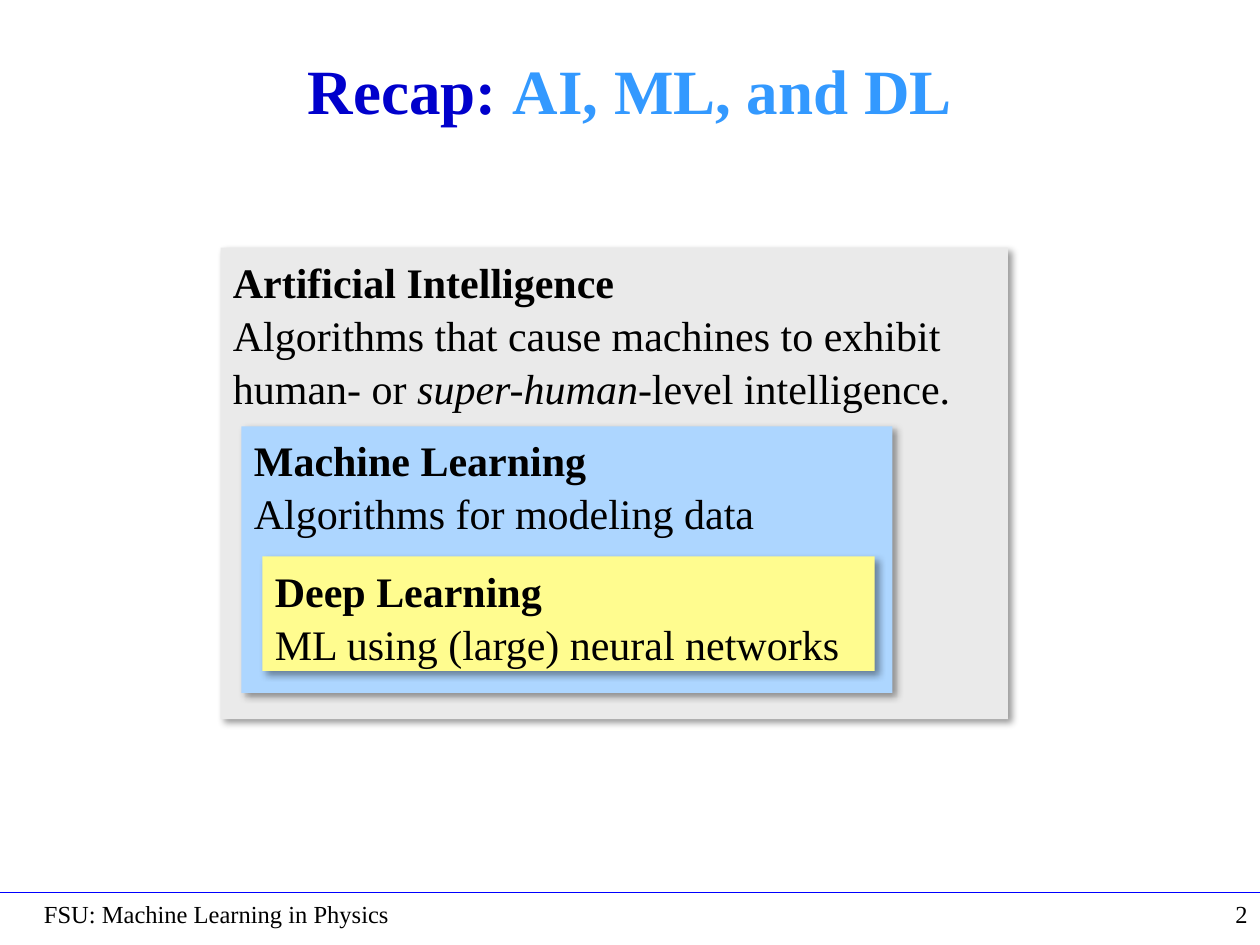
from dataclasses import dataclass

from lxml.etree import SubElement
from pptx import Presentation
from pptx.dml.color import RGBColor as Rgb
from pptx.enum.shapes import MSO_CONNECTOR as Conn, MSO_SHAPE as Form
from pptx.enum.text import MSO_ANCHOR as Anchor, PP_ALIGN as Align
from pptx.oxml.ns import qn
from pptx.util import Pt

SCALE = 7620


@dataclass(frozen=True)
class Theme:
    """Hold the colours, font and type sizes."""
    font: str = "Times New Roman"
    ink: str = "000000"
    navy: str = "0000CC"
    sky: str = "3399FF"
    rule: str = "0000FF"
    gray: str = "EAEAEA"
    blue: str = "ADD6FF"
    gold: str = "FFFC8F"
    head: int = 36
    body: int = 24
    foot: int = 14


THEME = Theme()


def emu(*nums):
    """Turn px lengths into EMU."""
    return [num * SCALE for num in nums]


def apply(item, **vals):
    """Set each named value on an item."""
    for name, val in vals.items():
        setattr(item, name, val)


def write(shape, paras, size, anchor=Anchor.TOP, align=Align.LEFT, gap=1.0):
    """Fill a shape with paragraphs of (text, format) runs."""
    frame = shape.text_frame
    apply(frame, word_wrap=True, vertical_anchor=anchor)
    for num, runs in enumerate(paras):
        para = frame.add_paragraph() if num else frame.paragraphs[0]
        apply(para, alignment=align, line_spacing=gap)
        for text, style in runs:
            run = para.add_run()
            run.text = text
            look = dict(style)
            run.font.color.rgb = Rgb.from_string(look.pop("color", THEME.ink))
            apply(run.font, name=THEME.font, size=Pt(size), **look)


def shade(shape):
    """Give a shape a soft shadow to the lower right."""
    shape.shadow.inherit = False
    effects = shape._element.spPr.find(qn("a:effectLst"))
    outer = SubElement(effects, qn("a:outerShdw"), blurRad=str(Pt(4)),
                       dist=str(Pt(3)), dir="2700000", algn="tl", rotWithShape="0")
    tint = SubElement(outer, qn("a:srgbClr"), val="000000")
    SubElement(tint, qn("a:alpha"), val="40000")


def title(slide, box):
    """Place the two-colour heading."""
    runs = [("Recap: ", {"bold": True, "color": THEME.navy}),
            ("AI, ML, and DL", {"bold": True, "color": THEME.sky})]
    write(slide.shapes.add_textbox(*emu(*box)), [runs], THEME.head,
          Anchor.MIDDLE, Align.CENTER)


def panel(slide, box, fill, name, runs):
    """Place one shaded panel with a bold name and a description."""
    shape = slide.shapes.add_shape(Form.RECTANGLE, *emu(*box))
    shape.fill.solid()
    shape.fill.fore_color.rgb = Rgb.from_string(fill)
    shape.line.fill.background()
    shade(shape)
    write(shape, [[(name, {"bold": True})], runs], THEME.body, gap=1.05)


def nest(slide, box):
    """Place the three fields, each inside the one before."""
    left, top, wide, high = box
    plain = {"bold": False}
    fields = [
        (0, wide, high, THEME.gray, "Artificial Intelligence",
         [("Algorithms that cause machines to exhibit human- or ", plain),
          ("super-human-", {"italic": True}), ("level intelligence.", plain)]),
        (170, 620, 254, THEME.blue, "Machine Learning",
         [("Algorithms for modeling data", plain)]),
        (294, 583, 109, THEME.gold, "Deep Learning",
         [("ML using (large) neural networks", plain)]),
    ]
    for level, (drop, width, height, *rest) in enumerate(fields):
        panel(slide, (left + 20 * level, top + drop, width, height), *rest)


def footer(slide, box):
    """Place the rule, the course name and the page number."""
    left, top, wide, high = box
    line = slide.shapes.add_connector(Conn.STRAIGHT, *emu(left, top, left + wide, top))
    line.line.color.rgb = Rgb.from_string(THEME.rule)
    line.line.width = Pt(1)
    SubElement(line._element.spPr, qn("a:effectLst"))
    notes = [("2", wide - 110, 110, Align.RIGHT),
             ("FSU: Machine Learning in Physics", 30, 1050, Align.LEFT)]
    for text, shift, width, align in notes:
        area = slide.shapes.add_textbox(*emu(left + shift, top, width, high))
        write(area, [[(text, {})]], THEME.foot, align=align)


def main():
    """Build and save the slide."""
    deck = Presentation()
    wide, high = emu(1200, 900)
    apply(deck, slide_width=wide, slide_height=high)
    slide = deck.slides.add_slide(deck.slide_layouts[6])
    footer(slide, (0, 850, 1200, 50))
    title(slide, (90, 30, 1020, 110))
    nest(slide, (210, 236, 750, 449))
    deck.save("out.pptx")


if __name__ == "__main__":
    main()
